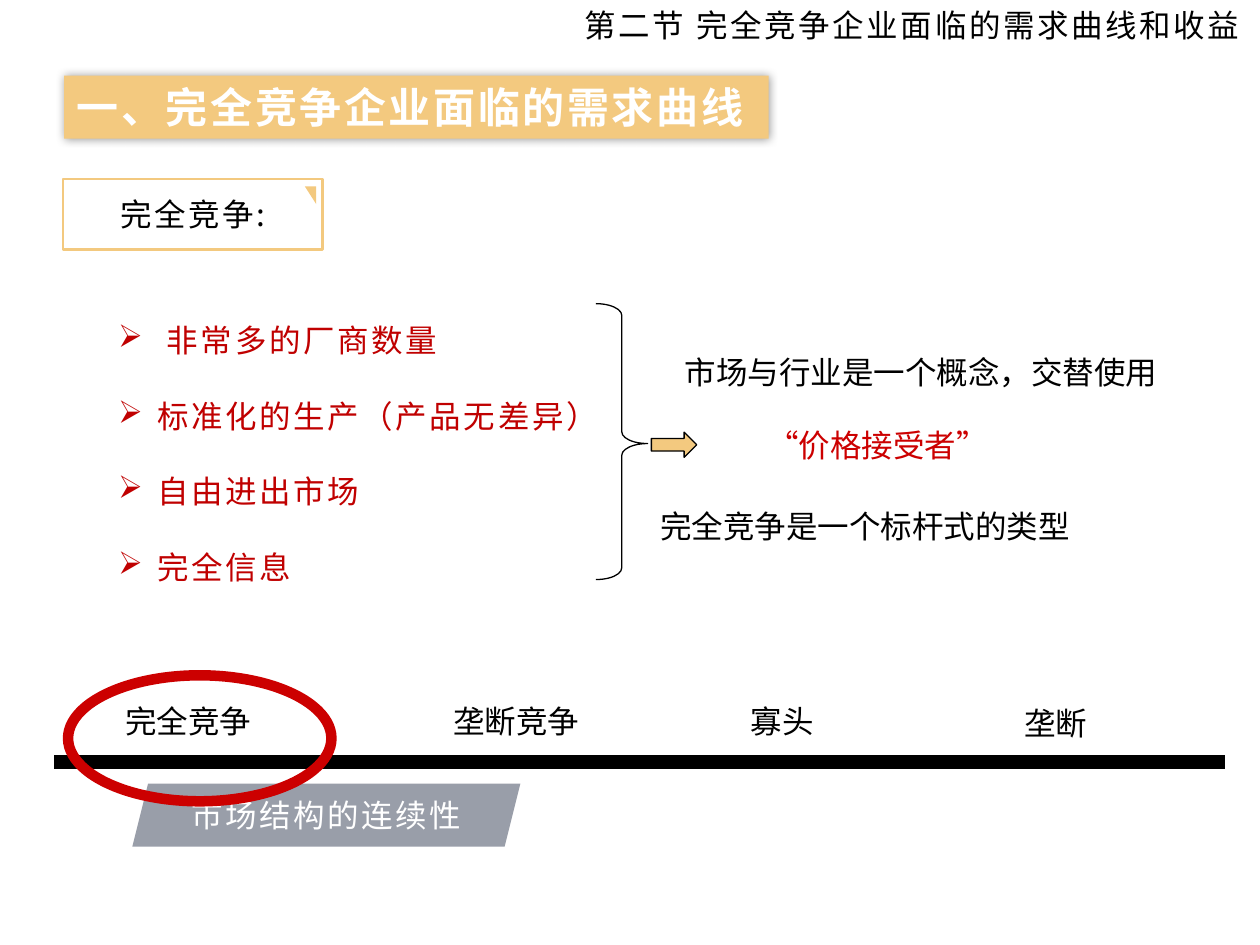
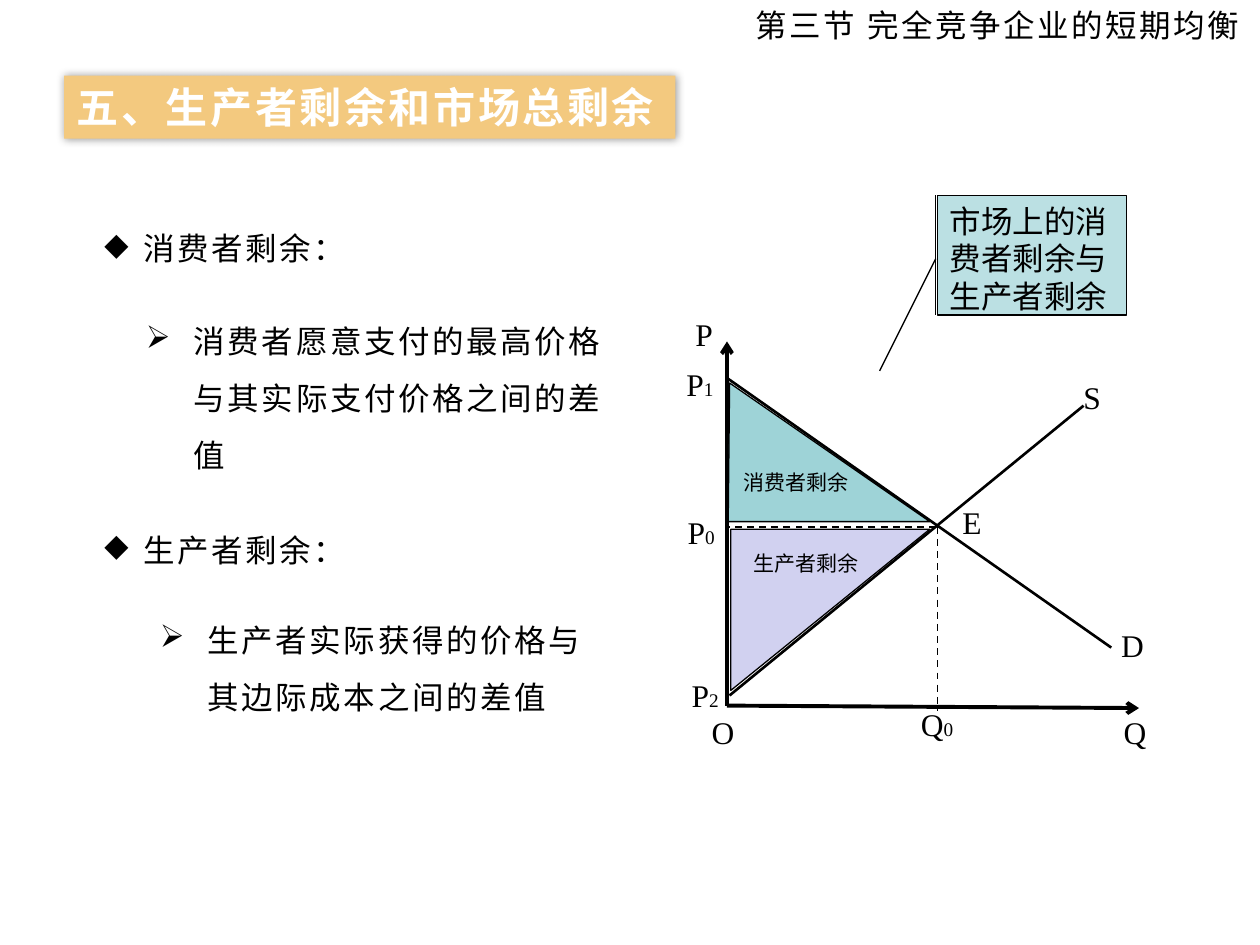
from lxml import etree
from pptx import Presentation
from pptx.dml.color import RGBColor
from pptx.enum.dml import MSO_LINE
from pptx.enum.shapes import MSO_CONNECTOR, MSO_SHAPE
from pptx.enum.text import MSO_ANCHOR, PP_ALIGN
from pptx.oxml.ns import qn
from pptx.util import Inches, Pt

LEFT, CENTER, RIGHT = PP_ALIGN.LEFT, PP_ALIGN.CENTER, PP_ALIGN.RIGHT
TOP, MIDDLE = MSO_ANCHOR.TOP, MSO_ANCHOR.MIDDLE
RECTANGLE, TRIANGLE = MSO_SHAPE.RECTANGLE, MSO_SHAPE.ISOSCELES_TRIANGLE
CJK, SERIF = "Noto Sans CJK SC", "Times New Roman"
BLACK, WHITE, GOLD, GREY = "000000", "FFFFFF", "F3C97F", "999EA9"
DARK_RED, RED = "C00000", "CC0000"
TEAL, LILAC, PALE_BLUE = "9ED3D7", "D1D1F0", "BBE0E3"
rgb = RGBColor.from_string


def draw(shapes, preset, box, fill=None, line=None, width=0.75, adjust=()):
    """Add a preset shape, or a text box when preset is None."""
    box = [Inches(length) for length in box]
    if preset is None:
        return shapes.add_textbox(*box)
    shape = shapes.add_shape(preset, *box)
    shape.shadow.inherit = False
    if fill:
        shape.fill.solid()
        shape.fill.fore_color.rgb = rgb(fill)
    else:
        shape.fill.background()
    if line:
        shape.line.color.rgb = rgb(line)
        shape.line.width = Pt(width)
    else:
        shape.line.fill.background()
    for index, value in enumerate(adjust):
        shape.adjustments[index] = value
    return shape


def write(shape, *texts, size=18, color=BLACK, font=CJK, bold=False, tracking=0,
          align=LEFT, anchor=TOP, leading=None, bullet=None, indent=0):
    """Fill a shape with one paragraph per text; tracking is in points."""
    frame = shape.text_frame
    frame.word_wrap = True
    frame.vertical_anchor = anchor
    for index, text in enumerate(texts):
        paragraph = frame.add_paragraph() if index else frame.paragraphs[0]
        paragraph.text = text
        paragraph.alignment = align
        if leading:
            paragraph.line_spacing = leading
        properties = paragraph._p.get_or_add_pPr()
        if bullet:
            properties.set("marL", str(Inches(indent)))
            properties.set("indent", str(-Inches(indent)))
            etree.SubElement(properties, qn("a:buChar")).set("char", bullet)
        paragraph.font.size = Pt(size)
        paragraph.font.bold = bold
        paragraph.font.color.rgb = rgb(color)
        paragraph.font.name = font
        defaults = properties.find(qn("a:defRPr"))
        defaults.set("spc", str(int(tracking * 100)))
        etree.SubElement(defaults, qn("a:ea")).set("typeface", font)
    return frame


prs = Presentation()
prs.slide_width, prs.slide_height = Inches(10), Inches(7.5)

# Section header and title band of both slides
pages = []
for section, title, band_width in (
    ("第二节 完全竞争企业面临的需求曲线和收益", "一、完全竞争企业面临的需求曲线", 5.59),
    ("第三节 完全竞争企业的短期均衡", "五、生产者剩余和市场总剩余", 4.85),
):
    shapes = prs.slides.add_slide(prs.slide_layouts[6]).shapes
    pages.append(shapes)
    write(draw(shapes, None, (4.4, 0, 5.54, 0.4)), section, tracking=1.5, align=RIGHT)
    band = draw(shapes, RECTANGLE, (0.51, 0.6, band_width, 0.5), GOLD)
    write(band, title, size=24, color=WHITE, bold=True, tracking=1.5, anchor=MIDDLE)
    effects = band._element.spPr.find(qn("a:effectLst"))
    shadow = etree.SubElement(effects, qn("a:outerShdw"), blurRad=str(Pt(5)),
                              dist="0", algn="ctr", rotWithShape="0")
    shadow_color = etree.SubElement(shadow, qn("a:srgbClr"), val=BLACK)
    etree.SubElement(shadow_color, qn("a:alpha"), val="40000")
market, surplus = pages

# Market spectrum on the first slide; axes, guides and curves on the second
for shapes, x1, y1, x2, y2, width, dashed, arrow in (
    (market, 0.43, 6.05, 9.72, 6.05, 8, False, False),
    (surplus, 5.77, 5.6, 5.77, 2.71, 2.25, False, True),
    (surplus, 5.77, 5.6, 9.04, 5.62, 2.25, False, True),
    (surplus, 7.44, 4.18, 7.44, 5.64, 1, True, False),
    (surplus, 7.43, 4.18, 5.77, 4.18, 1, True, False),
    (surplus, 5.79, 5.52, 8.6, 3.22, 1.5, False, False),
    (surplus, 5.77, 3, 8.82, 5.14, 1.5, False, False),
):
    connector = shapes.add_connector(MSO_CONNECTOR.STRAIGHT, Inches(x1), Inches(y1),
                                     Inches(x2), Inches(y2))
    connector.line.color.rgb = rgb(BLACK)
    connector.line.width = Pt(width)
    if dashed:
        connector.line.dash_style = MSO_LINE.DASH
    if arrow:
        etree.SubElement(connector.line._get_or_add_ln(), qn("a:tailEnd"), type="arrow")
    etree.SubElement(connector._element.spPr, qn("a:effectLst"))

# Slide 1: features of perfect competition
topic = market.add_group_shape().shapes
topic_frame = write(draw(topic, RECTANGLE, (0.5, 1.42, 2.06, 0.56), WHITE, GOLD, 1.5),
                    "完全竞争:", tracking=1.5, align=CENTER, anchor=MIDDLE)
topic_frame.margin_left = topic_frame.margin_right = 0
topic_frame.margin_top = topic_frame.margin_bottom = 0
corner = draw(topic, MSO_SHAPE.RIGHT_TRIANGLE, (2.42, 1.48, 0.09, 0.14), GOLD)
corner.rotation = 180

write(draw(market, None, (0.84, 2.2, 4.17, 2.93)),
      " 非常多的厂商数量", "标准化的生产（产品无差异）", "自由进出市场", "完全信息",
      color=DARK_RED, tracking=1.5, leading=2, bullet="➢", indent=0.31)
draw(market, MSO_SHAPE.RIGHT_BRACE, (4.73, 2.41, 0.41, 2.19), line=BLACK,
     adjust=(0.228, 0.507))
draw(market, MSO_SHAPE.RIGHT_ARROW, (5.17, 3.43, 0.36, 0.2), GOLD, BLACK)
write(draw(market, None, (5.01, 2.79, 4.6, 0.37)), "市场与行业是一个概念，交替使用",
      align=CENTER, leading=0.9)
write(draw(market, None, (5.99, 3.33, 1.97, 0.4)), "“价格接受者”", color=RED)
write(draw(market, None, (5.14, 4.01, 4.06, 0.37)), "完全竞争是一个标杆式的类型",
      leading=0.9)

for structure, left, top, width in (
    ("完全竞争", 0.37, 5.52, 2.25),
    ("垄断竞争", 2.9, 5.52, 2.39),
    ("寡头", 5.33, 5.52, 1.76),
    ("垄断", 7.12, 5.54, 2.52),
):
    write(draw(market, None, (left, top, width, 0.4)), structure, align=CENTER)
write(draw(market, MSO_SHAPE.PARALLELOGRAM, (1.05, 6.22, 3.08, 0.5), GREY),
      "市场结构的连续性", color=WHITE, tracking=1.5, align=CENTER, anchor=MIDDLE)
draw(market, MSO_SHAPE.OVAL, (0.54, 5.36, 2.09, 1), line=RED, width=6)

# Slide 2: definitions
for term, top in (("消费者剩余：", 1.83), ("生产者剩余：", 4.22)):
    write(draw(surplus, None, (0.73, top, 2.5, 0.34)), term,
          tracking=1.5, leading=0.8, bullet="◆", indent=0.31)
for definition, box in (
    ("消费者愿意支付的最高价格与其实际支付价格之间的差值", (1.06, 2.36, 3.88, 1.41)),
    ("生产者实际获得的价格与其边际成本之间的差值", (1.17, 4.73, 3.77, 0.96)),
):
    write(draw(surplus, None, box), definition,
          tracking=1.5, leading=1.5, bullet="➢", indent=0.38)

# Slide 2: surplus areas and chart labels
draw(surplus, TRIANGLE, (5.78, 3.04, 1.6, 1.1), TEAL, BLACK, adjust=(0.007,))
producer_area = draw(surplus, TRIANGLE, (5.8, 4.2, 1.58, 1.28), LILAC, BLACK, adjust=(0,))
producer_area._element.spPr.find(qn("a:xfrm")).set("flipV", "1")
for area, left, top in (("消费者剩余", 5.8, 3.68), ("生产者剩余", 5.88, 4.32)):
    write(draw(surplus, None, (left, top, 1.75, 0.3)), area, size=12)

for letter, subscript, left, top in (
    ("O", "", 5.55, 5.61), ("Q", "", 8.82, 5.61), ("S", "", 8.5, 2.95),
    ("P", "", 5.42, 2.45), ("D", "", 8.8, 4.92), ("E", "", 7.54, 3.94),
    ("Q", "0", 7.21, 5.55), ("P", "0", 5.36, 4.02), ("P", "1", 5.35, 2.85),
    ("P", "2", 5.39, 5.32),
):
    label = write(draw(surplus, None, (left, top, 0.64, 0.4)), letter, font=SERIF)
    if subscript:
        run = label.paragraphs[0].add_run()
        run.text = subscript
        run.font.size = Pt(11)

write(draw(surplus, MSO_SHAPE.LINE_CALLOUT_1_BORDER_AND_ACCENT_BAR,
           (7.44, 1.55, 1.5, 0.95), PALE_BLUE, BLACK,
           adjust=(0.53, -0.009, 1.467, -0.306)),
      "市场上的消费者剩余与生产者剩余", font="Arial")

prs.save("out.pptx")
